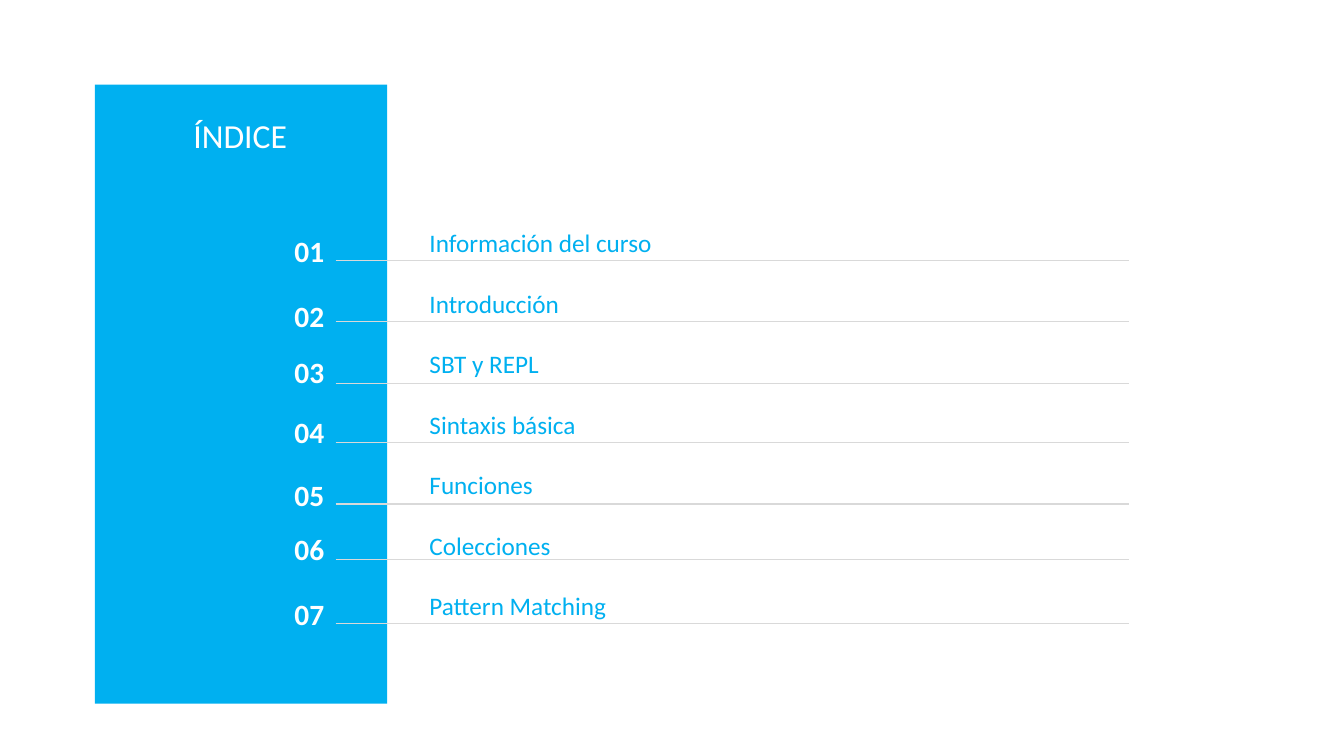
import pptx
import pptx.util
import pptx.dml.color
import pptx.enum.shapes
import pptx.oxml.ns
import lxml.etree

Inches = pptx.util.Inches
Pt = pptx.util.Pt

CYAN = "00B0F0"
WHITE = "FFFFFF"
RULE_GREY = "D9D9D9"

TOPICS = [
    ("Información del curso", 2.24, 2.58),
    ("Introducción", 2.89, 3.19),
    ("SBT y REPL", 3.44, 3.8),
    ("Sintaxis básica", 4.04, 4.39),
    ("Funciones", 4.66, 5),
    ("Colecciones", 5.2, 5.55),
    ("Pattern Matching", 5.84, 6.19),
]


def color(hex_code):
    return pptx.dml.color.RGBColor.from_string(hex_code)


def add_text(page, text, left, top, width, height, *, size, ink, bold=False,
             inset=(0.13, 0.07), gap=0):
    box = page.shapes.add_textbox(Inches(left), Inches(top), Inches(width), Inches(height))
    frame = box.text_frame
    frame.word_wrap = True
    frame.margin_left = frame.margin_right = Inches(inset[0])
    frame.margin_top = frame.margin_bottom = Inches(inset[1])
    frame.text = text
    for para in frame.paragraphs:
        para.space_after = Pt(gap)
        for span in para.runs:
            span.font.name = "Calibri"
            span.font.size = Pt(size)
            span.font.bold = bold
            span.font.color.rgb = color(ink)


def add_rule(page, left, top, width):
    rule = page.shapes.add_connector(
        pptx.enum.shapes.MSO_CONNECTOR.STRAIGHT,
        Inches(left), Inches(top), Inches(left + width), Inches(top))
    rule.line.color.rgb = color(RULE_GREY)
    rule.line.width = Pt(0.75)
    properties = rule._element.spPr
    lxml.etree.SubElement(properties, pptx.oxml.ns.qn("a:effectLst"))


def add_title_panel(page, left, top, width, height):
    panel = page.shapes.add_shape(
        pptx.enum.shapes.MSO_SHAPE.RECTANGLE,
        Inches(left), Inches(top), Inches(width), Inches(height))
    panel.shadow.inherit = False
    panel.fill.solid()
    panel.fill.fore_color.rgb = color(CYAN)
    panel.line.fill.background()
    add_text(page, "ÍNDICE", left + 0.88, top + 0.25, 1.14, 0.5,
             size=24, ink=WHITE, inset=(0.1, 0.05))


def add_topic_list(page, left, top, width, height):
    names = "\n".join(name for name, _, _ in TOPICS)
    add_text(page, names, left + 1.34, top, width - 1.34, height,
             size=18, ink=CYAN, gap=21.6)
    for number, (_, number_top, rule_top) in enumerate(TOPICS, 1):
        add_rule(page, left + 0.54, rule_top, 7.87)
        add_text(page, f"{number:02d}", left, number_top, 0.69, 0.48,
                 size=21, ink=WHITE, bold=True)


def main():
    deck = pptx.Presentation()
    deck.slide_width = Inches(13.33)
    deck.slide_height = Inches(7.5)
    page = deck.slides.add_slide(deck.slide_layouts[6])
    add_title_panel(page, 0.94, 0.84, 2.9, 6.14)
    add_topic_list(page, 2.79, 2.19, 9.2, 4.56)
    deck.save("out.pptx")


if __name__ == "__main__":
    main()
